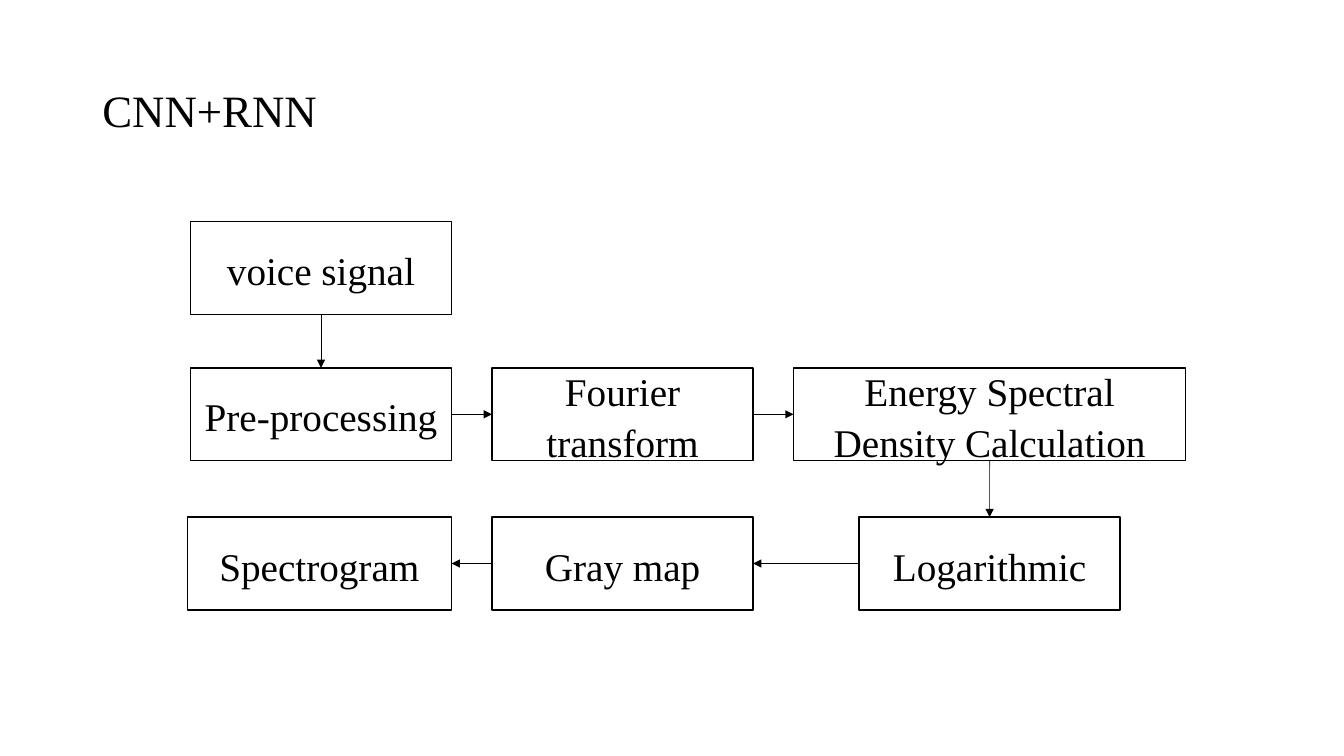
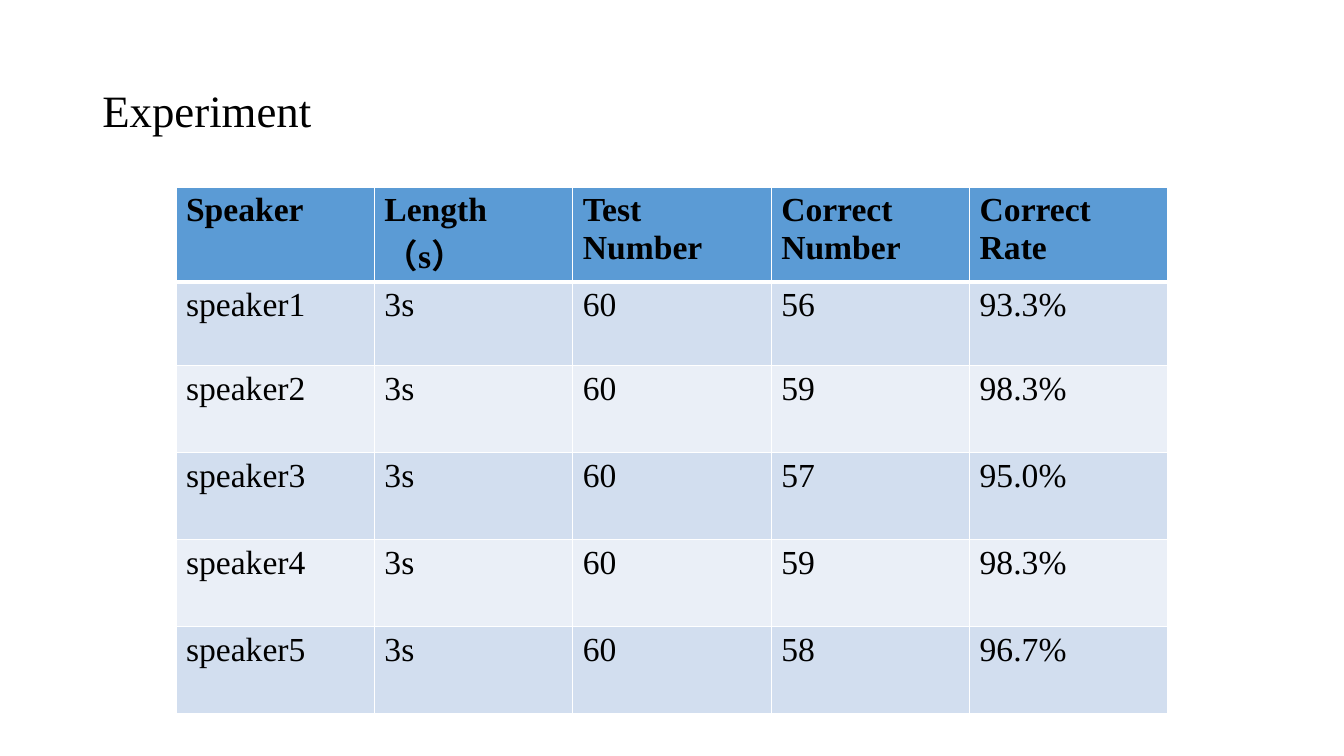
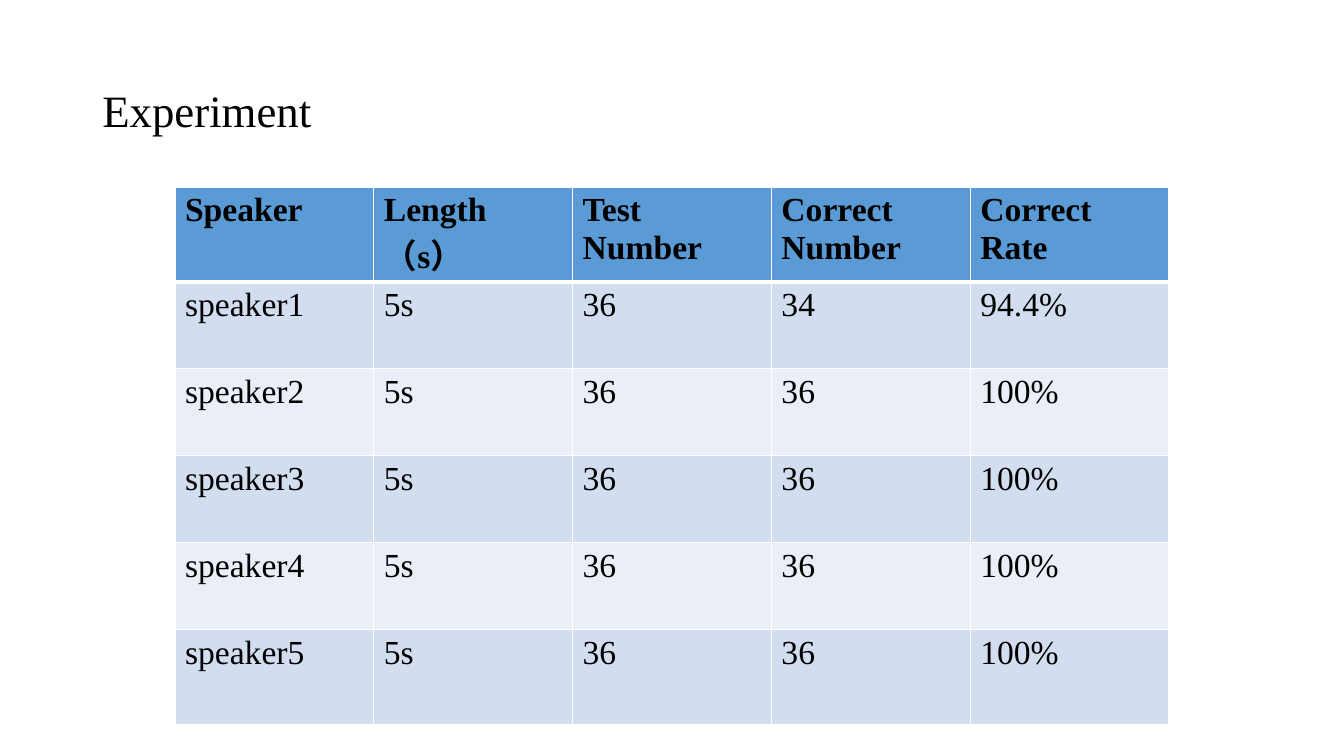
from lxml.etree import SubElement
from pptx import Presentation
from pptx.dml.color import RGBColor
from pptx.enum.shapes import MSO_CONNECTOR, MSO_SHAPE
from pptx.enum.text import MSO_ANCHOR, PP_ALIGN
from pptx.oxml import parse_xml
from pptx.oxml.ns import nsdecls, qn
from pptx.util import Cm, Pt

SLIDE_WIDTH, SLIDE_HEIGHT = 33.87, 19.05
FONT = "Times New Roman"
BLACK, WHITE = "000000", "FFFFFF"
HEADER_FILL = "5B9BD5"
BAND_FILLS = ("D2DEEF", "EAEFF7")

# Flow chart, in cm
BOX_WIDTH, BOX_HEIGHT, BOX_GAP = 6.58, 2.34, 1.02
ENERGY_WIDTH = 9.88
COLUMNS = [4.8 + column * (BOX_WIDTH + BOX_GAP) for column in range(3)]
ROWS = (5.59, 9.27, 13.03)
UNDER_ENERGY = COLUMNS[2] + (ENERGY_WIDTH - BOX_WIDTH) / 2
STEPS = [  # text, left, top, width
    ("voice signal", COLUMNS[0], ROWS[0], BOX_WIDTH),
    ("Pre-processing", COLUMNS[0], ROWS[1], BOX_WIDTH),
    ("Fourier transform", COLUMNS[1], ROWS[1], BOX_WIDTH),
    ("Energy Spectral Density Calculation", COLUMNS[2], ROWS[1], ENERGY_WIDTH),
    ("Logarithmic", UNDER_ENERGY, ROWS[2], BOX_WIDTH),
    ("Gray map", COLUMNS[1], ROWS[2], BOX_WIDTH),
    ("Spectrogram", 4.72, ROWS[2], 6.66),
]
TOP, LEFT, BOTTOM, RIGHT = range(4)
# Sides joined between each step and the next
JOINTS = [(BOTTOM, TOP), (RIGHT, LEFT), (RIGHT, LEFT),
          (BOTTOM, TOP), (LEFT, RIGHT), (LEFT, RIGHT)]

TABLE_TOP = 4.71
HEADINGS = ["Speaker", "Length（s）", "Test Number", "Correct Number", "Correct Rate"]
EXPERIMENTS = [
    {
        "length": "3s", "tests": "60", "column_width": 5.0,
        "row_heights": [2.39, 2.11, 2.19, 2.19, 2.19, 2.19],
        "results": [("56", "93.3%"), ("59", "98.3%"), ("57", "95.0%"),
                    ("59", "98.3%"), ("58", "96.7%")],
    },
    {
        "length": "5s", "tests": "36", "column_width": 5.01,
        "row_heights": [2.39, 2.19, 2.19, 2.19, 2.19, 2.41],
        "results": [("34", "94.4%"), ("36", "100%"), ("36", "100%"),
                    ("36", "100%"), ("36", "100%")],
    },
]


def color(value):
    return RGBColor.from_string(value)


def style_paragraph(paragraph, size, bold=False):
    font = paragraph.font
    font.name, font.size, font.bold = FONT, Pt(size), bold
    font.color.rgb = color(BLACK)


def add_titled_slide(presentation, title):
    slide = presentation.slides.add_slide(presentation.slide_layouts[6])
    box = slide.shapes.add_textbox(Cm(2.33), Cm(1.01), Cm(29.21), Cm(3.68))
    frame = box.text_frame
    frame.word_wrap = True
    frame.vertical_anchor = MSO_ANCHOR.MIDDLE
    frame.text = title
    paragraph = frame.paragraphs[0]
    paragraph.line_spacing = 0.9
    style_paragraph(paragraph, 32)
    return slide


def add_step(slide, text, left, top, width):
    shape = slide.shapes.add_shape(
        MSO_SHAPE.RECTANGLE, Cm(left), Cm(top), Cm(width), Cm(BOX_HEIGHT))
    shape.shadow.inherit = False
    shape.fill.solid()
    shape.fill.fore_color.rgb = color(WHITE)
    shape.line.color.rgb = color(BLACK)
    shape.line.width = Pt(1)
    frame = shape.text_frame
    frame.word_wrap = True
    frame.vertical_anchor = MSO_ANCHOR.MIDDLE
    frame.text = text
    paragraph = frame.paragraphs[0]
    paragraph.alignment = PP_ALIGN.CENTER
    paragraph.line_spacing = 1.08
    style_paragraph(paragraph, 28)
    return shape


def add_arrow(slide, start, end, start_side, end_side):
    arrow = slide.shapes.add_connector(MSO_CONNECTOR.STRAIGHT, 0, 0, 0, 0)
    arrow.begin_connect(start, start_side)
    arrow.end_connect(end, end_side)
    arrow.line.color.rgb = color(BLACK)
    arrow.line.width = Pt(0.5)
    SubElement(arrow.line._get_or_add_ln(), qn("a:tailEnd"), type="triangle")
    SubElement(arrow._element.spPr, qn("a:effectLst"))


def add_borders(cell, top, bottom):
    """Draw white cell borders; top and bottom are widths in points."""
    widths = {"lnL": 1, "lnR": 1, "lnT": top, "lnB": bottom}
    properties = cell._tc.get_or_add_tcPr()
    for index, (tag, width) in enumerate(widths.items()):
        properties.insert(index, parse_xml(
            f'<a:{tag} {nsdecls("a")} w="{Pt(width)}"><a:solidFill>'
            f'<a:srgbClr val="{WHITE}"/></a:solidFill></a:{tag}>'))


def add_results_table(slide, experiment):
    rows = [HEADINGS] + [
        [f"speaker{number}", experiment["length"], experiment["tests"], correct, rate]
        for number, (correct, rate) in enumerate(experiment["results"], 1)]
    heights = experiment["row_heights"]
    width = experiment["column_width"] * len(HEADINGS)
    table = slide.shapes.add_table(
        len(rows), len(HEADINGS), Cm((SLIDE_WIDTH - width) / 2), Cm(TABLE_TOP),
        Cm(width), Cm(sum(heights))).table
    for column in table.columns:
        column.width = Cm(experiment["column_width"])
    for row_index, texts in enumerate(rows):
        table.rows[row_index].height = Cm(heights[row_index])
        is_header = row_index == 0
        fill = HEADER_FILL if is_header else BAND_FILLS[(row_index - 1) % 2]
        for column_index, text in enumerate(texts):
            cell = table.cell(row_index, column_index)
            cell.text = text
            cell.fill.solid()
            cell.fill.fore_color.rgb = color(fill)
            style_paragraph(cell.text_frame.paragraphs[0], 24, bold=is_header)
            add_borders(cell, top=3 if row_index == 1 else 1,
                        bottom=3 if is_header else 1)


def main():
    presentation = Presentation()
    presentation.slide_width = Cm(SLIDE_WIDTH)
    presentation.slide_height = Cm(SLIDE_HEIGHT)

    slide = add_titled_slide(presentation, "CNN+RNN")
    boxes = [add_step(slide, *step) for step in STEPS]
    for start, end, sides in zip(boxes, boxes[1:], JOINTS):
        add_arrow(slide, start, end, *sides)

    for experiment in EXPERIMENTS:
        add_results_table(add_titled_slide(presentation, "Experiment"), experiment)

    presentation.save("out.pptx")


if __name__ == "__main__":
    main()
